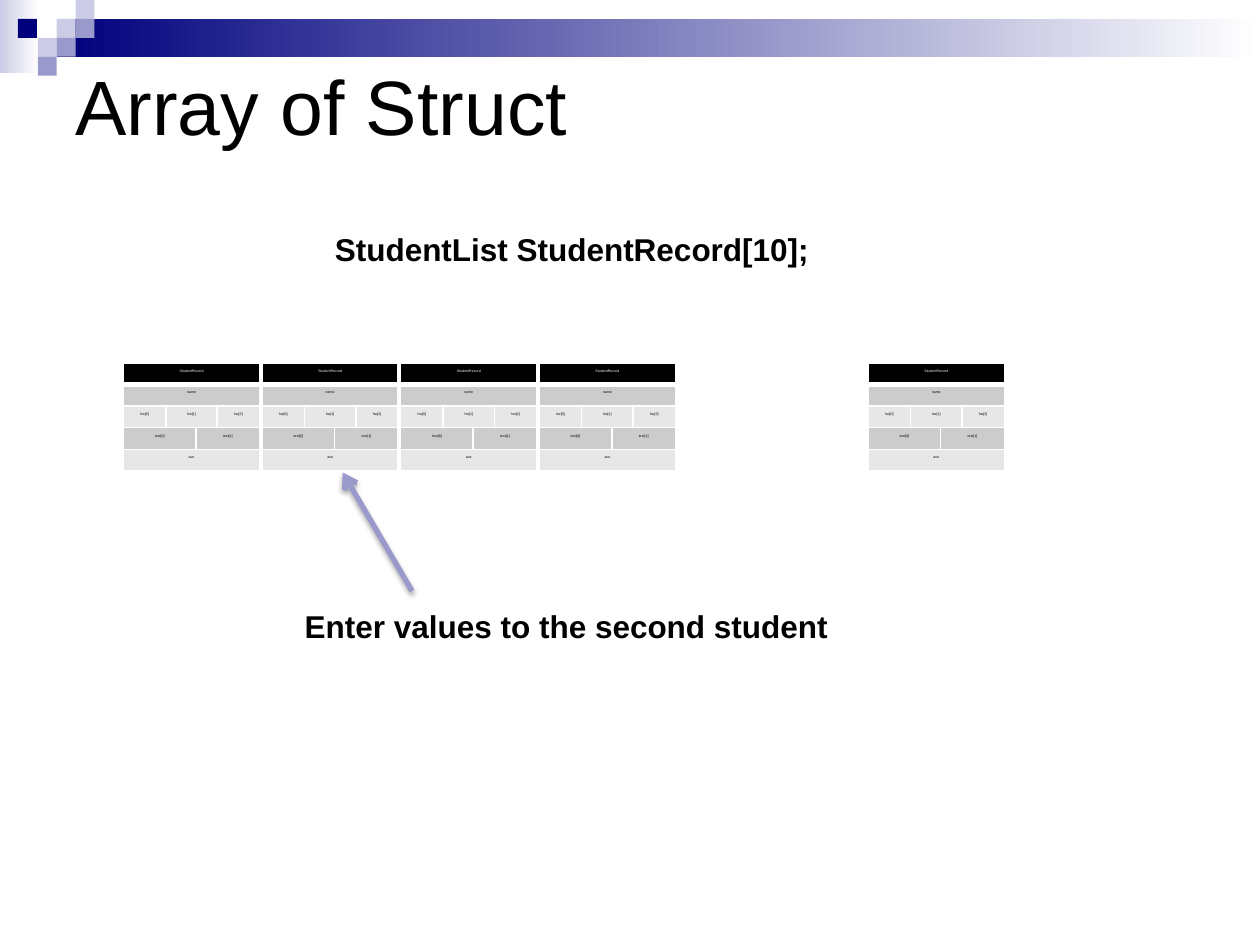
from typing import NamedTuple

from lxml import etree
from pptx import Presentation, util as u
from pptx.dml.color import RGBColor
from pptx.enum import shapes, text
from pptx.oxml import parse_xml
from pptx.oxml.ns import nsdecls, qn

WIDTH, HEIGHT = 10, 7.5
FONT = "Arial"
BLACK, WHITE, NAVY = "000000", "FFFFFF", "00007D"
PALE, LILAC = "CCCCE6", "9999CC"
DARK_ROW, LIGHT_ROW = "CCCCCC", "E7E7E7"
TILE = 0.15
RECORD_LEFT, RECORD_TOP, RECORD_STEP = 0.98, 2.88, 1.1
RECORD_WIDTH, RECORD_HEIGHT = 1.01, 0.86
COLUMN_SHARES = (1 / 3, 1 / 6, 1 / 6, 1 / 3)
RECORD_LEFTS = [RECORD_LEFT + i * RECORD_STEP for i in range(4)] + [6.89]


class Tile(NamedTuple):
    column: float
    row: int
    color: str


class Label(NamedTuple):
    words: str
    left: float
    top: float
    width: float
    height: float
    size: int
    bold: bool = True
    wrap: bool = False


class Field(NamedTuple):
    name: str
    first: int
    last: int


class Row(NamedTuple):
    fill: str
    color: str
    fields: tuple[Field, ...]


TILES = [
    Tile(3, 1, PALE), Tile(4, 0, PALE), Tile(4, 1, LILAC), Tile(2, 2, PALE),
    Tile(0.95, 1, NAVY), Tile(3, 2, LILAC), Tile(2, 3, LILAC),
]
TITLE = Label("Array of Struct", 0.5, 0.08, 9, 1.5, 44, False, True)
CAPTIONS = [
    Label("StudentList StudentRecord[10];", 2.56, 1.78, 4, 0.4, 18),
    Label("Enter values to the second student", 2.32, 4.77, 4.39, 0.4, 18),
]
RECORD_ROWS = [
    Row(BLACK, WHITE, (Field("StudentRecord", 0, 3),)),
    Row(DARK_ROW, BLACK, (Field("name", 0, 3),)),
    Row(LIGHT_ROW, BLACK, (Field("hw[0]", 0, 0), Field("hw[1]", 1, 2), Field("hw[2]", 3, 3))),
    Row(DARK_ROW, BLACK, (Field("test[0]", 0, 1), Field("test[1]", 2, 3))),
    Row(LIGHT_ROW, BLACK, (Field("ave", 0, 3),)),
]


def rgb(color: str) -> RGBColor:
    return RGBColor.from_string(color)


def add_run(paragraph, words: str, size: int, color: str, bold: bool = False) -> None:
    run = paragraph.add_run()
    run.text = words
    run.font.name, run.font.size, run.font.bold = FONT, u.Pt(size), bold
    run.font.color.rgb = rgb(color)


def add_block(slide, left: float, top: float, width: float, height: float,
              color: str, fade_to: str | None = None) -> None:
    """Draw a borderless rectangle, fading left to right if fade_to is given."""
    block = slide.shapes.add_shape(
        shapes.MSO_SHAPE.RECTANGLE, *map(u.Inches, (left, top, width, height)))
    block.shadow.inherit = False
    block.line.fill.background()
    if fade_to is None:
        block.fill.solid()
        block.fill.fore_color.rgb = rgb(color)
        return
    block.fill.gradient()
    block.fill.gradient_angle = 0
    for stop, stop_color, position in zip(block.fill.gradient_stops, (color, fade_to), (0, 1)):
        stop.color.rgb = rgb(stop_color)
        stop.position = position


def add_label(slide, label: Label) -> None:
    box = slide.shapes.add_textbox(
        *map(u.Inches, (label.left, label.top, label.width, label.height)))
    frame = box.text_frame
    frame.word_wrap = label.wrap
    if label.wrap:
        frame.vertical_anchor = text.MSO_ANCHOR.MIDDLE
    else:
        frame.auto_size = text.MSO_AUTO_SIZE.SHAPE_TO_FIT_TEXT
    add_run(frame.paragraphs[0], label.words, label.size, BLACK, label.bold)


def style_cell(cell, fill: str, bottom: int) -> None:
    cell.fill.solid()
    cell.fill.fore_color.rgb = rgb(fill)
    properties = cell._tc.get_or_add_tcPr()
    for place, (side, points) in enumerate((("L", 1), ("R", 1), ("T", 1), ("B", bottom))):
        properties.insert(place, parse_xml(
            f'<a:ln{side} {nsdecls("a")} w="{u.Pt(points)}"><a:solidFill>'
            f'<a:srgbClr val="{WHITE}"/></a:solidFill></a:ln{side}>'))


def add_record(slide, left: float) -> None:
    table = slide.shapes.add_table(
        len(RECORD_ROWS), len(COLUMN_SHARES),
        *map(u.Inches, (left, RECORD_TOP, RECORD_WIDTH, RECORD_HEIGHT))).table
    for column, share in zip(table.columns, COLUMN_SHARES):
        column.width = u.Inches(RECORD_WIDTH * share)
    for index, row in enumerate(RECORD_ROWS):
        for cell in table.rows[index].cells:
            style_cell(cell, row.fill, 3 if index == 0 else 1)
        for field in row.fields:
            cell = table.cell(index, field.first)
            if field.last > field.first:
                cell.merge(table.cell(index, field.last))
            paragraph = cell.text_frame.paragraphs[0]
            paragraph.alignment = text.PP_ALIGN.CENTER
            add_run(paragraph, field.name, 2, row.color)


def add_pointer(slide, start: tuple[float, float], end: tuple[float, float]) -> None:
    """Draw an arrow with a soft shadow below it."""
    pointer = slide.shapes.add_connector(
        shapes.MSO_CONNECTOR.STRAIGHT, *map(u.Inches, start + end))
    pointer.line.color.rgb = rgb(LILAC)
    pointer.line.width = u.Pt(3)
    etree.SubElement(pointer.line._get_or_add_ln(), qn("a:tailEnd"), type="arrow")
    pointer._element.spPr.append(parse_xml(
        f'<a:effectLst {nsdecls("a")}><a:outerShdw blurRad="{u.Pt(3.1)}" dist="{u.Pt(1.8)}" '
        f'dir="5400000" rotWithShape="0"><a:srgbClr val="{BLACK}"><a:alpha val="35000"/>'
        '</a:srgbClr></a:outerShdw></a:effectLst>'))


def main() -> None:
    deck = Presentation()
    deck.slide_width, deck.slide_height = u.Inches(WIDTH), u.Inches(HEIGHT)
    slide = deck.slides.add_slide(deck.slide_layouts[6])
    add_block(slide, 0, 0, 0.31, 0.58, PALE, WHITE)
    add_block(slide, 3 * TILE, TILE, WIDTH - 3 * TILE, 2 * TILE, NAVY, WHITE)
    for tile in TILES:
        add_block(slide, tile.column * TILE, tile.row * TILE, TILE, TILE, tile.color)
    for label in [TITLE, *CAPTIONS]:
        add_label(slide, label)
    for left in RECORD_LEFTS:
        add_record(slide, left)
    add_pointer(slide, (3.27, 4.69), (2.72, 3.75))
    deck.save("out.pptx")


if __name__ == "__main__":
    main()
